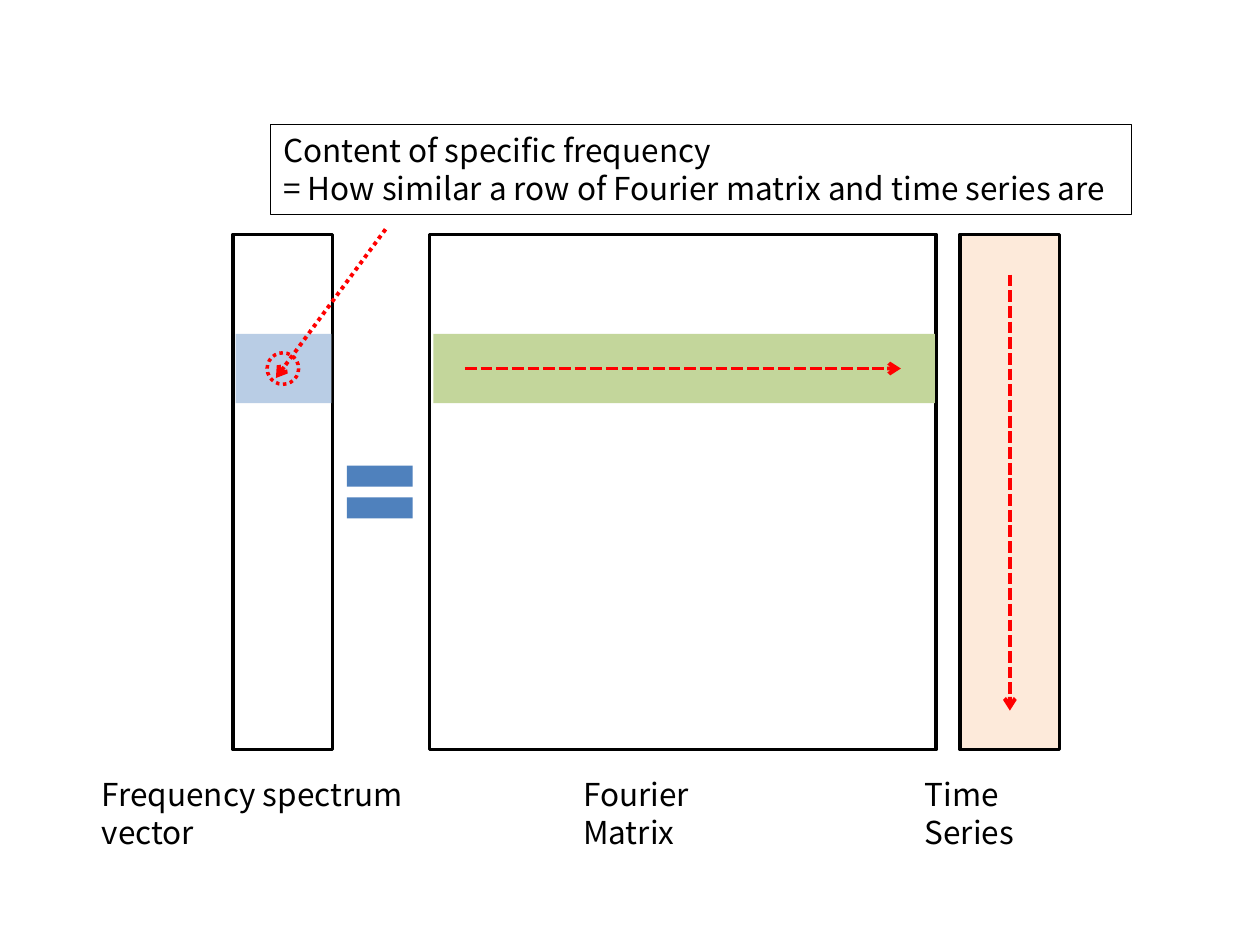
"""Draw the Fourier matrix product on a grid of 100 columns by 75 rows."""
from dataclasses import dataclass
from typing import Optional
from lxml.etree import SubElement
from pptx import Presentation
from pptx.dml.color import RGBColor
from pptx.enum.dml import MSO_LINE
from pptx.enum.shapes import MSO_CONNECTOR, MSO_SHAPE
from pptx.enum.text import MSO_ANCHOR, PP_ALIGN
from pptx.oxml.ns import qn
from pptx.util import Inches, Pt

COLORS = {
    "black": "000000", "white": "FFFFFF", "red": "FF0000", "peach": "FDEADA",
    "blue": "4F81BD", "green": "C3D69B", "sky": "B9CDE5",
}
FONT = {"name": "Noto Sans CJK KR", "size": Pt(18)}
FRAME = {"word_wrap": True, "vertical_anchor": MSO_ANCHOR.TOP}

deck = Presentation()
deck.slide_width, deck.slide_height = Inches(10), Inches(7.5)
COL, ROW = deck.slide_width / 100, deck.slide_height / 75
slide = deck.slides.add_slide(deck.slide_layouts[6])


@dataclass
class Box:
    left: float
    top: float
    wide: float
    high: float
    fill: Optional[str] = None
    line: Optional[str] = None
    width: float = 2
    kind: MSO_SHAPE = MSO_SHAPE.RECTANGLE
    dash: Optional[MSO_LINE] = None
    text: str = ""


@dataclass
class Arrow:
    start: tuple[float, float]
    end: tuple[float, float]
    dash: MSO_LINE = MSO_LINE.SQUARE_DOT


def rgb(name: str) -> RGBColor:
    return RGBColor.from_string(COLORS[name])


def stroke(line, color: str, width: float, dash: Optional[MSO_LINE]) -> None:
    line.color.rgb, line.width = rgb(color), Pt(width)
    if dash:
        line.dash_style = dash


def write(frame, text: str) -> None:
    for key, value in FRAME.items():
        setattr(frame, key, value)
    frame.text = text
    for para in frame.paragraphs:
        para.alignment = PP_ALIGN.LEFT
        for run in para.runs:
            for key, value in FONT.items():
                setattr(run.font, key, value)
            run.font.color.rgb = rgb("black")


def place(box: Box) -> None:
    spot = (round(box.left * COL), round(box.top * ROW),
            round(box.wide * COL), round(box.high * ROW))
    if box.text and not box.line:
        shape = slide.shapes.add_textbox(*spot)
    else:
        shape = slide.shapes.add_shape(box.kind, *spot)
        shape.shadow.inherit = False
        if box.fill:
            shape.fill.solid()
            shape.fill.fore_color.rgb = rgb(box.fill)
        else:
            shape.fill.background()
        if box.line:
            stroke(shape.line, box.line, box.width, box.dash)
        else:
            shape.line.fill.background()
    if box.text:
        write(shape.text_frame, box.text)


def point(arrow: Arrow) -> None:
    (left, top), (right, base) = arrow.start, arrow.end
    link = slide.shapes.add_connector(
        MSO_CONNECTOR.STRAIGHT, round(left * COL), round(top * ROW),
        round(right * COL), round(base * ROW))
    stroke(link.line, "red", 2.25, arrow.dash)
    SubElement(link.line._get_or_add_ln(), qn("a:tailEnd"), type="arrow")
    SubElement(link._element.spPr, qn("a:effectLst"))


TOP, HIGH, THIN = 18.6, 40.9, 7.9
BAND, DEEP = 26.5, 5.5
MID = BAND + DEEP / 2
SERIES = 76.2
AXIS = SERIES + THIN / 2

boxes = [
    Box(18.5, TOP, THIN, HIGH, "white", "black"),
    Box(34.1, TOP, 40.2, HIGH, "white", "black"),
    Box(SERIES, TOP, THIN, HIGH, "peach", "black"),
    Box(26.6, 35.5, 7.1, 7.1, "blue", kind=MSO_SHAPE.MATH_EQUAL),
    Box(34.4, BAND, 39.8, DEEP, "green"),
    Box(18.7, BAND, 7.6, DEEP, "sky"),
]
arrows = [
    Arrow((36.9, MID), (71.5, MID)),
    Arrow((AXIS, 21.8), (AXIS, 56.4)),
    Arrow((30.6, 18.2), (21.9, 30), MSO_LINE.ROUND_DOT),
]
notes = [
    Box(21.5, 9.9, 68.3, 7.1, line="black", width=0.75,
        text="Content of specific frequency\n"
             "= How similar a row of Fourier matrix and time series are"),
    *(Box(left, 61, wide, 7.1, text=text) for left, wide, text in (
        (7.1, 33.1, "Frequency spectrum\vvector"),
        (45.3, 18.1, "Fourier\vMatrix"),
        (72.4, 15.1, "Time\vSeries"))),
    Box(21.2, MID - 1.25, 2.5, 2.5, line="red", kind=MSO_SHAPE.OVAL,
        dash=MSO_LINE.ROUND_DOT),
]
for box in boxes:
    place(box)
for arrow in arrows:
    point(arrow)
for note in notes:
    place(note)
deck.save("out.pptx")
